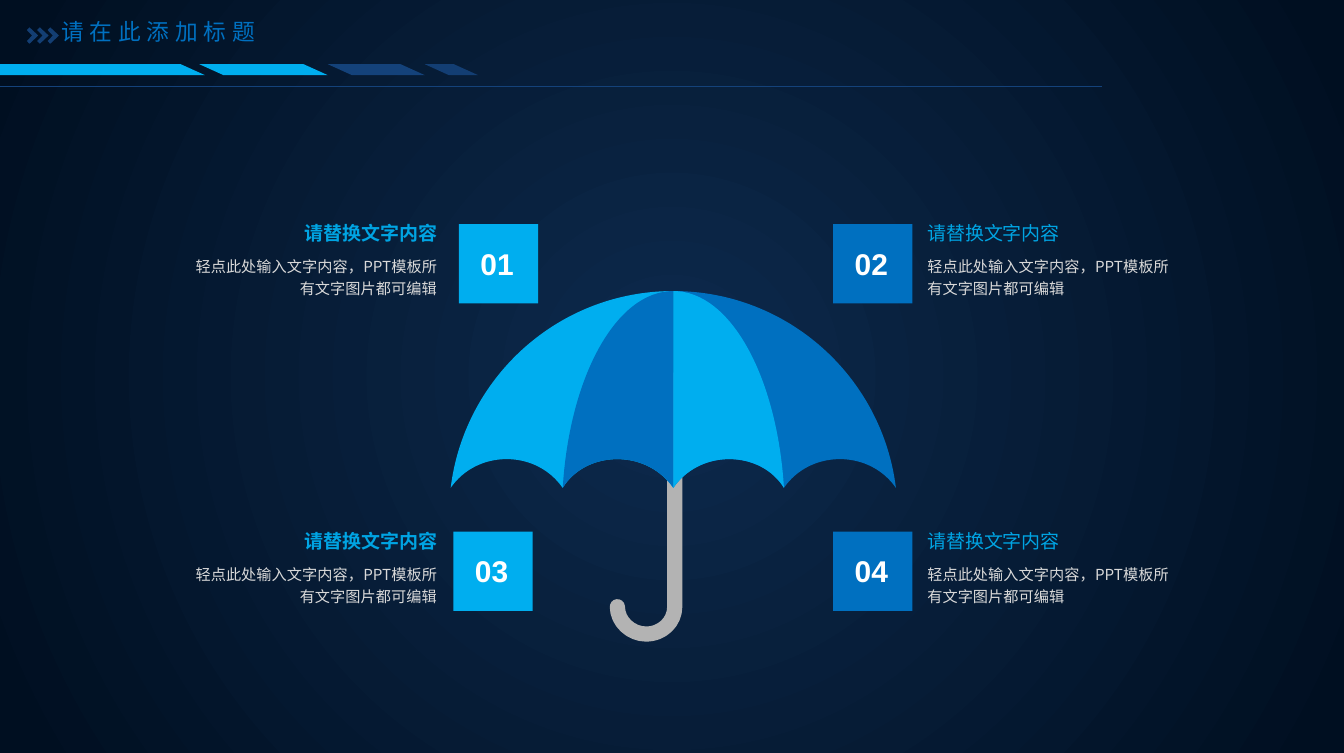
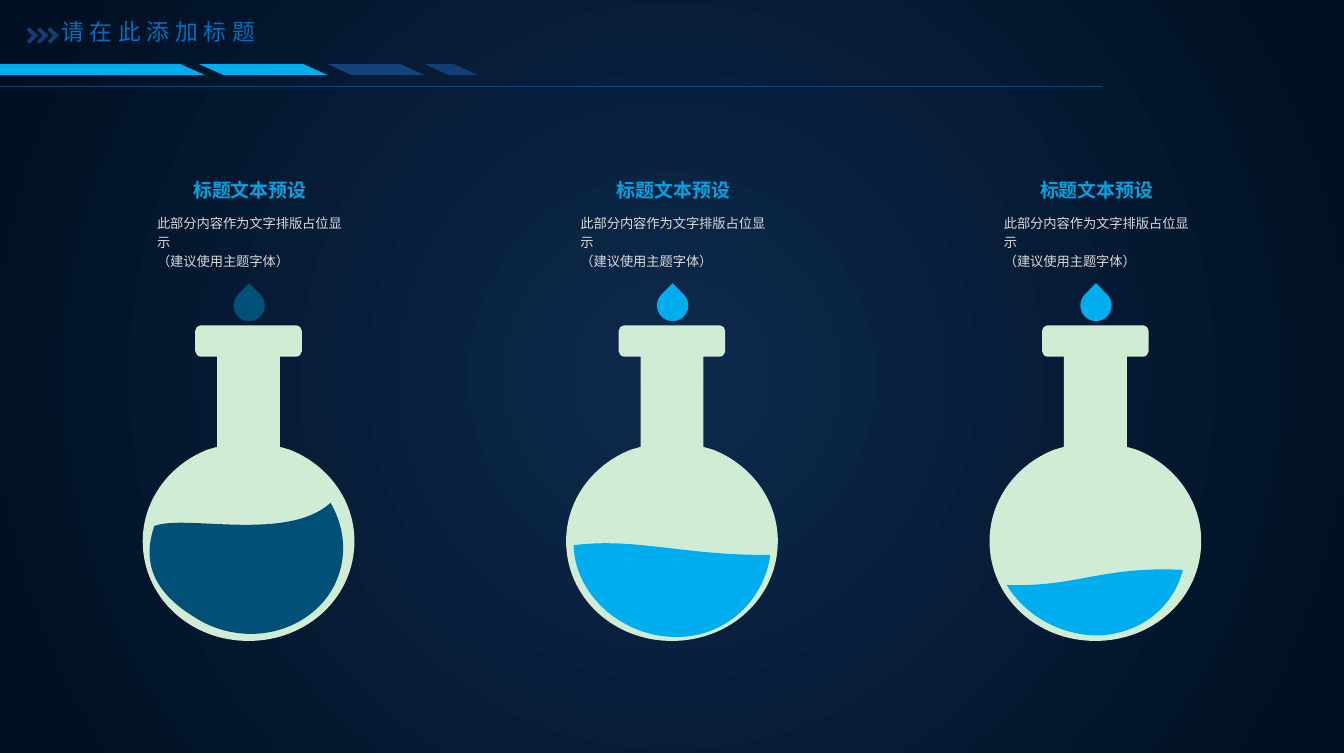
import dataclasses

import lxml.etree
import pptx
import pptx.dml.color
import pptx.enum.shapes
import pptx.enum.text
import pptx.oxml.ns
import pptx.util

Pt = pptx.util.Pt
RGB = pptx.dml.color.RGBColor.from_string
qn = pptx.oxml.ns.qn
SHAPE = pptx.enum.shapes.MSO_SHAPE
ALIGN = pptx.enum.text.PP_ALIGN
ANCHOR = pptx.enum.text.MSO_ANCHOR


@dataclasses.dataclass(frozen=True)
class Theme:
    glow: str = "0D2A4D"
    night: str = "000F21"
    cyan: str = "00AEEF"
    blue: str = "0070C0"
    heading: str = "00A4E3"
    body: str = "D9D9D9"
    navy: str = "14427A"
    deep_navy: str = "133E73"
    teal: str = "015077"
    glass: str = "D0ECD4"
    grey: str = "B3B3B3"
    white: str = "FFFFFF"
    cjk: str = "Noto Sans CJK SC"
    title_pt: float = 12
    heading_pt: float = 10
    number_pt: float = 15.8
    body_pt: float = 8
    caption_pt: float = 7


T = Theme()
COLS = 984
prs = pptx.Presentation()
prs.slide_width, prs.slide_height = pptx.util.Inches(9.84), pptx.util.Inches(5.51)
U = prs.slide_width // COLS  # one grid cell; columns and rows are equal


def outline(s, color, x0, segments, side=1, stroke=None):
    """Draw an outline of lines (x, y) and cubic curves (six values).

    x counts from the axis x0; side=-1 flips it.
    """
    corners = [((x0 + side * seg[-2]) * U, seg[-1] * U) for seg in segments]
    builder = s.shapes.build_freeform(*corners[0], scale=1.0)
    builder.add_line_segments(corners[1:], close=stroke is None)
    sp = builder.convert_to_shape()
    steps = list(sp.element.iter(qn("a:lnTo")))
    for step, seg in zip(steps, segments[1:]):
        if len(seg) == 6:
            curve = lxml.etree.Element(qn("a:cubicBezTo"))
            for x, y in zip(seg[::2], seg[1::2]):
                pt = lxml.etree.SubElement(curve, qn("a:pt"))
                pt.set("x", str(round((x0 + side * x) * U) - sp.left))
                pt.set("y", str(round(y * U) - sp.top))
            step.getparent().replace(step, curve)
    sp.shadow.inherit = False
    if stroke:
        sp.fill.background()
        sp.line.color.rgb = RGB(color)
        sp.line.width = Pt(stroke)
        sp.element.spPr.find(qn("a:ln")).set("cap", "rnd")
    else:
        sp.fill.solid()
        sp.fill.fore_color.rgb = RGB(color)
        sp.line.fill.background()
    return sp


def write(sp, text, size, color, font, bold=False, align=ALIGN.LEFT, anchor=ANCHOR.TOP,
          margins=(0, 0), spacing=1.2, wrap=True, tracking=0):
    """Fill a shape with one paragraph; margins are side and top/bottom."""
    tf = sp.text_frame
    tf.word_wrap = wrap
    tf.auto_size = pptx.enum.text.MSO_AUTO_SIZE.NONE
    tf.vertical_anchor = anchor
    tf.margin_left = tf.margin_right = margins[0] * U
    tf.margin_top = tf.margin_bottom = margins[1] * U
    p = tf.paragraphs[0]
    p.alignment = align
    p.line_spacing = spacing
    for i, line in enumerate(text.split("\n")):
        if i:
            p.add_line_break()
            br = p._p.findall(qn("a:br"))[-1]
            lxml.etree.SubElement(br, qn("a:rPr")).set("sz", str(round(size * 100)))
        r = p.add_run()
        r.text = line
        r.font.size, r.font.bold, r.font.name = Pt(size), bold, font
        r.font.color.rgb = RGB(color)
        rPr = r._r.get_or_add_rPr()
        lxml.etree.SubElement(rPr, qn("a:ea")).set("typeface", T.cjk)
        if tracking:
            rPr.set("spc", str(tracking * 100))


# Background on the master
master = prs.slide_master
bg = master.background.fill
bg.gradient()
for stop, color, position in zip(bg.gradient_stops, (T.glow, T.night), (0, 0.97)):
    stop.color.rgb = RGB(color)
    stop.position = position
grad = master.element.find(".//" + qn("a:gradFill"))
grad.remove(grad.find(qn("a:lin")))
radial = lxml.etree.SubElement(grad, qn("a:path"))
radial.set("path", "circle")
center = lxml.etree.SubElement(radial, qn("a:fillToRect"))
for edge in "ltrb":
    center.set(edge, "50000")

# Title position on the layout
layout = prs.slide_layouts.get_by_name("Title Only")
for ph in list(layout.placeholders):
    if ph.placeholder_format.idx:
        ph.element.getparent().remove(ph.element)
    else:
        ph.left, ph.top, ph.width, ph.height = 35 * U, 8 * U, 167 * U, 30 * U

umbrella, flasks = (prs.slides.add_slide(layout) for _ in range(2))
for s in (umbrella, flasks):
    write(s.shapes.title, "请在此添加标题", T.title_pt, T.blue, T.cjk,
          margins=(10, 5), spacing=1, wrap=False, tracking=3)

# Header bands, rule and chevrons: drawn once, then moved to the layout
s = umbrella
header = []
for x, w, color in ((-161, 311, T.cyan), (146, 94, T.cyan),
                    (240, 71, T.navy), (311, 39, T.deep_navy)):
    sp = s.shapes.add_shape(SHAPE.PARALLELOGRAM, x * U, 47 * U, w * U, 8 * U)
    sp.adjustments[0] = 2.21
    sp.element.spPr.find(qn("a:xfrm")).set("flipV", "1")
    sp.shadow.inherit = False
    sp.fill.solid()
    sp.fill.fore_color.rgb = RGB(color)
    sp.line.fill.background()
    header.append(sp)
rule = s.shapes.add_connector(pptx.enum.shapes.MSO_CONNECTOR.STRAIGHT,
                              -43 * U, 63 * U, 807 * U, 63 * U)
rule.line.color.rgb = RGB(T.navy)
rule.line.width = Pt(0.5)
lxml.etree.SubElement(rule.element.spPr, qn("a:effectLst"))
header.append(rule)
for i in range(3):
    header.append(outline(s, T.deep_navy, 19.6 + 7.6 * i,
                          [(0, 22), (2, 20), (8.4, 26), (2, 32), (0, 30), (4, 26)]))
for sp in header:
    layout.shapes.element.append(sp.element)

# Slide 1: umbrella
AXIS = 493
outline(s, T.grey, AXIS, [(-41, 444), (-41, 455, -31, 464, -20, 464),
                          (-8, 464, 1, 455, 1, 444), (1, 278)], stroke=8)
scallop = [(9, 344, 24, 336, 41, 336), (58, 336, 73, 344, 81, 357)]
next_scallop = [(90, 344, 105, 336, 122, 336), (139, 336, 154, 344, 163, 357)]
rib = [(0, 213), (0, 357)] + scallop
canopy = ((1, T.blue, T.cyan), (-1, T.cyan, T.blue))
for side, outer, _ in canopy:
    outline(s, outer, AXIS, rib + next_scallop + [(153, 276, 84, 213, 0, 213)], side)
for side, _, inner in reversed(canopy):
    outline(s, inner, AXIS, rib + [(76, 276, 42, 213, 0, 213)], side)

for number, square_x, text_x, row, on_left in (
        ("01", 336, 139, 0, True), ("02", 610, 679, 0, False),
        ("03", 332, 139, 1, True), ("04", 610, 679, 1, False)):
    top = 151 + 225 * row
    align = ALIGN.RIGHT if on_left else ALIGN.LEFT
    width = 181 if on_left else 184
    sp = s.shapes.add_textbox(text_x * U, top * U, width * U, 27 * U)
    write(sp, "请替换文字内容", T.heading_pt, T.heading, "Arial", on_left, align, margins=(0, 8))
    sp = s.shapes.add_textbox(text_x * U, (top + 35) * U, width * U, 48 * U)
    write(sp, "轻点此处输入文字内容，PPT模板所有文字图片都可编辑",
          T.body_pt, T.body, T.cjk, align=align)
    sp = s.shapes.add_shape(SHAPE.RECTANGLE, square_x * U, (top + 13) * U, 58 * U, 58 * U)
    sp.shadow.inherit = False
    sp.fill.solid()
    sp.fill.fore_color.rgb = RGB(T.cyan if on_left else T.blue)
    sp.line.fill.background()
    write(sp, number, T.number_pt, T.white, "Arial", True, ALIGN.CENTER, ANCHOR.MIDDLE)
    sp.text_frame.margin_right = 2 * U
    sp.text_frame.margin_bottom = 6 * U

# Slide 2: flasks
s = flasks
flask = [(0, 238), (35, 238), (37, 238, 39, 240, 39, 242), (39, 257),
         (39, 259, 37, 261, 35, 261), (23, 261), (23, 327), (30, 329),
         (58, 340, 77.5, 366, 77.5, 396), (77.5, 437, 43, 469, 0, 469)]
for before, seg in reversed(list(zip(flask, flask[1:]))):
    x, y = before[-2:]
    if len(seg) == 6:
        flask.append((-seg[2], seg[3], -seg[0], seg[1], -x, y))
    else:
        flask.append((-x, y))
liquids = (
    (T.teal, [(60, 368), (77, 397, 70, 432, 43, 451), (19, 468, -14, 468, -39, 452),
              (-67, 435, -79, 414, -69, 385), (-47, 376, 28, 397, 60, 368)]),
    (T.cyan, [(72, 406), (67, 442, 36, 468, 0, 466), (-36, 465, -71, 436, -72, 399),
              (-27, 393, 11, 407, 72, 406)]),
    (T.cyan, [(64, 417), (57, 445, 32, 464, 2, 465), (-25, 465, -51, 451, -65, 428),
              (-15, 430, 5, 414, 64, 417)]),
)
for i, (color, liquid) in enumerate(liquids):
    axis = 182 + 310 * i
    outline(s, T.glass, axis, flask)
    outline(s, color, axis, liquid)
    drop = s.shapes.add_shape(SHAPE.TEAR, (axis - 11) * U, 212 * U, 23 * U, 23 * U)
    drop.rotation = 315
    drop.shadow.inherit = False
    drop.fill.solid()
    drop.fill.fore_color.rgb = RGB(color)
    drop.line.fill.background()
    sp = s.shapes.add_textbox((axis - 94) * U, 123 * U, 190 * U, 32 * U)
    write(sp, "标题文本预设", T.heading_pt, T.heading, "Calibri", True, ALIGN.CENTER,
          ANCHOR.MIDDLE, margins=(24, 0), spacing=1, wrap=False)
    sp = s.shapes.add_textbox((axis - 91) * U, 155 * U, 190 * U, 57 * U)
    write(sp, "此部分内容作为文字排版占位显示 \n（建议使用主题字体）",
          T.caption_pt, T.body, "Calibri", margins=(24, 0))

prs.save("out.pptx")
